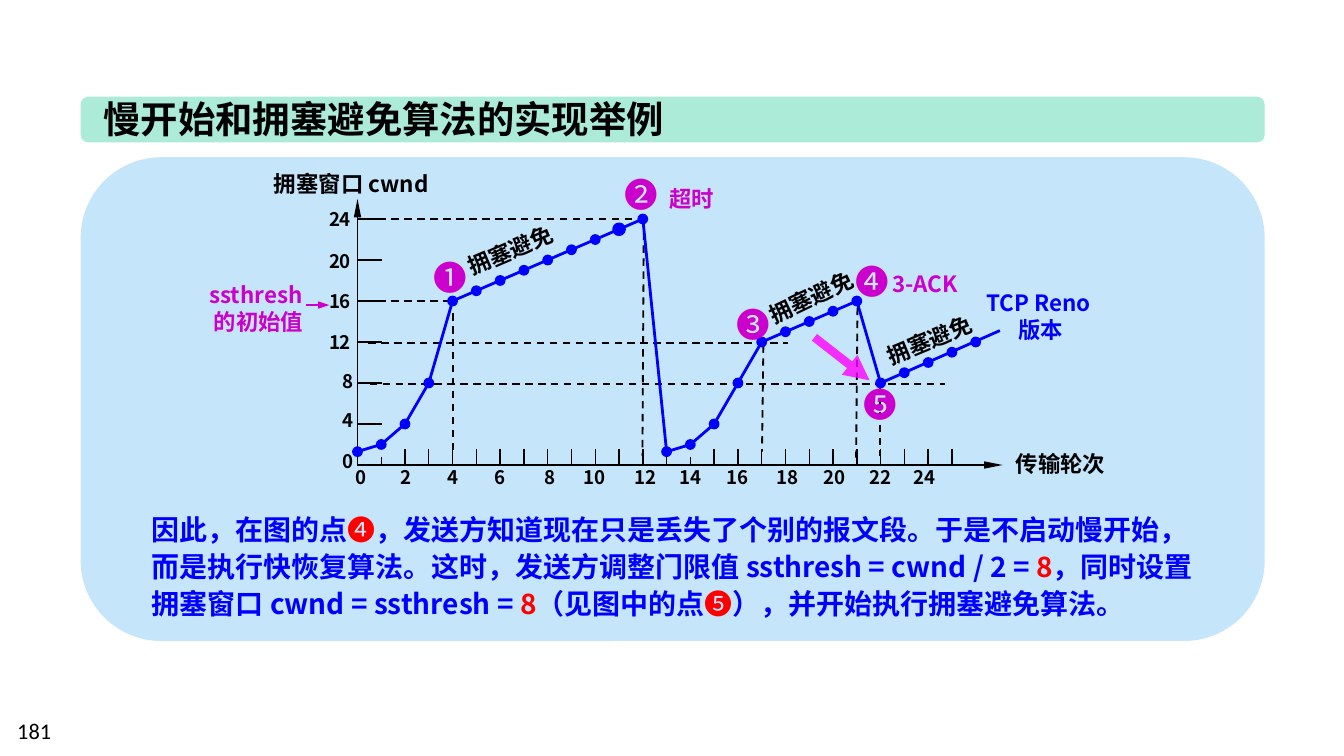
import pptx
import pptx.dml.color
import pptx.enum.dml
import pptx.enum.shapes
import pptx.enum.text
import pptx.oxml.ns
import pptx.util
from lxml import etree
from pptx.util import Inches

THEME = {
    "font": "Noto Sans CJK SC", "number_font": "Calibri",
    "black": "000000", "blue": "0000FF", "purple": "CC00CC", "red": "FF0000",
    "pink": "FF00FF", "title_bar": "ABEBD7", "panel": "C5E5FB",
    "title": 20, "marker": 18, "body": 15, "label": 12, "tick": 10,
}
RGB = pptx.dml.color.RGBColor.from_string
SHAPES = pptx.enum.shapes.MSO_SHAPE
ALIGN = pptx.enum.text.PP_ALIGN
qn = pptx.oxml.ns.qn

presentation = pptx.Presentation()
presentation.slide_width = Inches(10)
presentation.slide_height = Inches(10) * 9 // 16
slide = presentation.slides.add_slide(presentation.slide_layouts[6])


def add_text(paragraphs, left, top, width, height, size, color="black", bold=True,
             wrap=False, grow=True, centered=False, rotation=0, font="font"):
    """Add a text box; each paragraph is a list of (text, color, bold) runs or a string."""
    box = slide.shapes.add_textbox(Inches(left), Inches(top), Inches(width), Inches(height))
    box.rotation = rotation
    frame = box.text_frame
    frame.word_wrap = wrap
    if grow:
        frame.auto_size = pptx.enum.text.MSO_AUTO_SIZE.SHAPE_TO_FIT_TEXT
    for index, content in enumerate(paragraphs):
        paragraph = frame.paragraphs[0] if index == 0 else frame.add_paragraph()
        if centered:
            paragraph.alignment = ALIGN.CENTER
        runs = [(content, color, bold)] if isinstance(content, str) else content
        for text, run_color, run_bold in runs:
            run = paragraph.add_run()
            run.text = text
            run.font.size = pptx.util.Pt(THEME[size])
            run.font.bold = run_bold
            run.font.color.rgb = RGB(THEME[run_color])
            run.font.name = THEME[font]
            east_asian = etree.SubElement(run.font._element, qn("a:ea"))
            east_asian.set("typeface", THEME[font])
    return box


def add_line(x1, y1, x2, y2, color="black", width=1, dashed=False, arrow=None, opacity=100):
    """Add a straight line; arrow is the (width, length) of the head at its end."""
    connector = slide.shapes.add_connector(
        pptx.enum.shapes.MSO_CONNECTOR.STRAIGHT, Inches(x1), Inches(y1), Inches(x2), Inches(y2))
    connector.line.color.rgb = RGB(THEME[color])
    connector.line.width = pptx.util.Pt(width)
    if dashed:
        connector.line.dash_style = pptx.enum.dml.MSO_LINE.DASH
    properties = connector.element.spPr
    outline = properties.find(qn("a:ln"))
    if opacity < 100:
        rgb_color = outline.find(".//" + qn("a:srgbClr"))
        etree.SubElement(rgb_color, qn("a:alpha")).set("val", str(opacity * 1000))
    if arrow:
        head = etree.SubElement(outline, qn("a:tailEnd"))
        head.set("type", "triangle")
        head.set("w", arrow[0])
        head.set("len", arrow[1])
    etree.SubElement(properties, qn("a:effectLst"))


# Title bar and panel
for top, height, color in [(0.72, 0.34, "title_bar"), (1.17, 3.6, "panel")]:
    shape = slide.shapes.add_shape(
        SHAPES.ROUNDED_RECTANGLE, Inches(0.6), Inches(top), Inches(8.81), Inches(height))
    shape.shadow.inherit = False
    shape.fill.solid()
    shape.fill.fore_color.rgb = RGB(THEME[color])
    shape.line.fill.background()
add_text(["慢开始和拥塞避免算法的实现举例"], 0.67, 0.67, 4.41, 0.44, "title")

# Diagram scale: transmission rounds across, congestion window upwards
ORIGIN_X, ORIGIN_Y = 2.66, 3.46
ROUND_STEP = 4.6 / 26
WINDOW_STEP = 1.83 / 24
START = 1.3  # a window of 1 is raised a little to stay clear of the axis
windows = [START, 2, 4, 8, *range(16, 25), START, 2, 4, 8, *range(12, 17), *range(8, 13)]
points = [(ORIGIN_X + number * ROUND_STEP, ORIGIN_Y - window * WINDOW_STEP)
          for number, window in enumerate(windows)]

# Axes and tick marks
add_line(ORIGIN_X, ORIGIN_Y, 7.46, ORIGIN_Y, arrow=("sm", "lg"))
add_line(ORIGIN_X, ORIGIN_Y, ORIGIN_X, 1.48, arrow=("sm", "lg"))
for number in range(1, 26):
    x = ORIGIN_X + number * ROUND_STEP
    tick = 0.06 if number in (1, 14) else 0.12
    add_line(x, ORIGIN_Y - tick, x, ORIGIN_Y, width=0.75)
for window in range(4, 25, 4):
    y = ORIGIN_Y - window * WINDOW_STEP
    add_line(ORIGIN_X, y, ORIGIN_X + 0.18, y, width=0.75)

# Axis labels
round_lefts = [2.55, 2.88, 3.23, 3.58, 3.95, 4.24, 4.62, 4.96, 5.31, 5.68, 6.03, 6.37, 6.7]
for index, left in enumerate(round_lefts):
    add_text([str(index * 2)], left, 3.42, 0.29 if index < 5 else 0.37, 0.27, "tick")
window_tops = [3.3, 2.99, 2.7, 2.41, 2.11, 1.81, 1.5]
for index, top in enumerate(window_tops):
    left, width = (2.45, 0.29) if index < 3 else (2.35, 0.37)
    add_text([str(index * 4)], left, top, width, 0.27, "tick")
add_text(["传输轮次"], 7.46, 3.3, 0.94, 0.32, "label")
add_text(["拥塞窗口 cwnd"], 1.94, 1.22, 1.53, 0.32, "label")

# Dashed guides
for x1, y1, x2, y2 in [
    (2.72, 2.24, 3.37, 2.24), (2.72, 1.63, 4.79, 1.63),
    (2.74, 2.55, 5.86, 2.55), (2.75, 2.86, 7.03, 2.86),
    (3.37, 2.33, 3.37, 3.38), (4.79, 1.73, 4.78, 3.39), (5.68, 2.57, 5.67, 3.36),
    (6.38, 2.29, 6.37, 3.44), (6.55, 2.87, 6.55, 3.39),
]:
    add_line(x1, y1, x2, y2, dashed=True)

# Window curve: two growth phases, two drops and the final recovery
for first, last in [(0, 12), (13, 21)]:
    corners = [(Inches(x), Inches(y)) for x, y in points[first:last + 1]]
    builder = slide.shapes.build_freeform(*corners[0])
    builder.add_line_segments(corners[1:], close=False)
    curve = builder.convert_to_shape()
    curve.shadow.inherit = False
    curve.fill.background()
    curve.line.color.rgb = RGB(THEME["blue"])
    curve.line.width = pptx.util.Pt(1.5)
for start, end in [(points[12], points[13]), (points[21], points[22]), (points[22], (7.44, 2.46))]:
    add_line(*start, *end, color="blue", width=1.5)

# Dots
DOT = 0.07
for number, (x, y) in enumerate(points):
    dot = slide.shapes.add_shape(
        SHAPES.OVAL, Inches(x - DOT / 2), Inches(y - DOT / 2), Inches(DOT), Inches(DOT))
    dot.shadow.inherit = False
    dot.fill.solid()
    dot.fill.fore_color.rgb = RGB(THEME["blue"])
    dot.line.color.rgb = RGB(THEME["blue"])
    dot.line.width = pptx.util.Pt(2.25 if number == 11 else 0.75)

# Numbered markers
for text, left, top, width, height, margin in [
    ("❶", 3.13, 1.92, 0.33, 0.28, 0.1), ("❷", 4.63, 1.33, 0.28, 0.23, 0),
]:
    marker = add_text([text], left, top, width, height, "marker", "purple",
                      bold=False, grow=False, centered=text == "❷")
    marker.text_frame.vertical_anchor = pptx.enum.text.MSO_ANCHOR.MIDDLE
    marker.text_frame.margin_left = marker.text_frame.margin_right = Inches(margin)
for text, left, top in [("❸", 5.38, 2.21), ("❹", 6.27, 1.89), ("❺", 6.33, 2.81)]:
    add_text([text], left, top, 0.43, 0.4, "marker", "purple", bold=False)

# Annotations
for left, top, rotation in [(3.33, 1.71, 336.8), (5.57, 2.06, 334.5), (6.45, 2.38, 337.4)]:
    add_text(["拥塞避免"], left, top, 0.94, 0.32, "label", centered=True, rotation=rotation)
add_text(["超时"], 4.88, 1.33, 0.87, 0.3, "label", "purple", wrap=True)
add_text(["3-ACK"], 6.54, 1.96, 0.89, 0.3, "label", "purple", wrap=True)
add_text(["TCP Reno ", "版本"], 7.17, 2.1, 1.15, 0.54, "label", "blue", centered=True)
add_text(["ssthresh", " 的初始值"], 1.44, 2.04, 0.93, 0.5, "label", "purple", centered=True)
add_line(2.28, 2.27, 2.45, 2.27, color="purple", width=1.5, arrow=("sm", "med"))
add_line(6.06, 2.51, 6.47, 2.83, color="pink", width=4.5, arrow=("med", "med"), opacity=80)

# Explanation
explanation = add_text([[
    ("因此，在图的点", "blue", True),
    ("❹", "red", False),
    ("，发送方知道现在只是丢失了个别的报文段。于是不启动慢开始，而是执行快恢复算法。"
     "这时，发送方调整门限值 ssthresh = cwnd / 2 = ", "blue", True),
    ("8", "red", True),
    ("，同时设置拥塞窗口 cwnd = ssthresh = ", "blue", True),
    ("8", "red", True),
    ("（见图中的点", "blue", True),
    ("❺", "red", False),
    ("），并开始执行拥塞避免算法。", "blue", True),
]], 1.03, 3.74, 8.01, 0.93, "body", wrap=True)
explanation.text_frame.paragraphs[0].line_spacing = 1.1

# Slide number
add_text(["181"], 0.03, 5.29, 2.33, 0.3, "label", bold=False, wrap=True, grow=False,
         font="number_font")

presentation.save("out.pptx")
